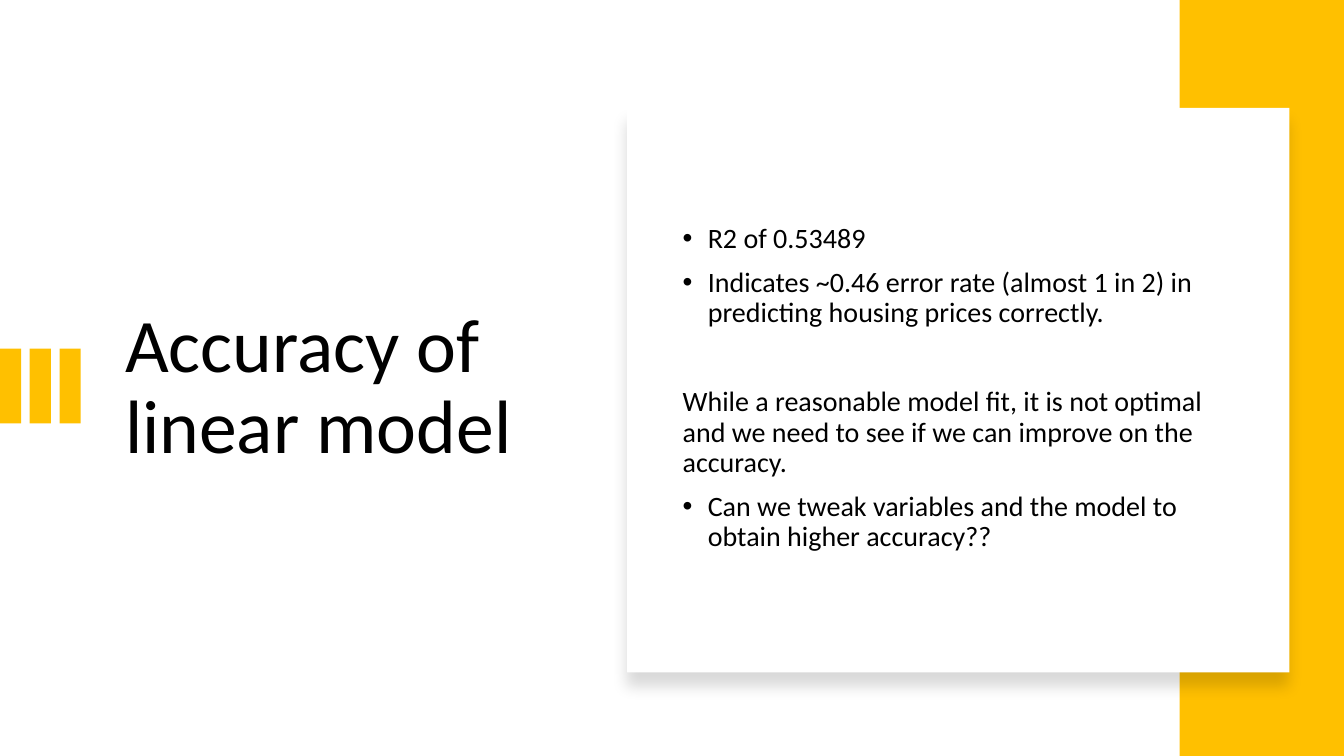
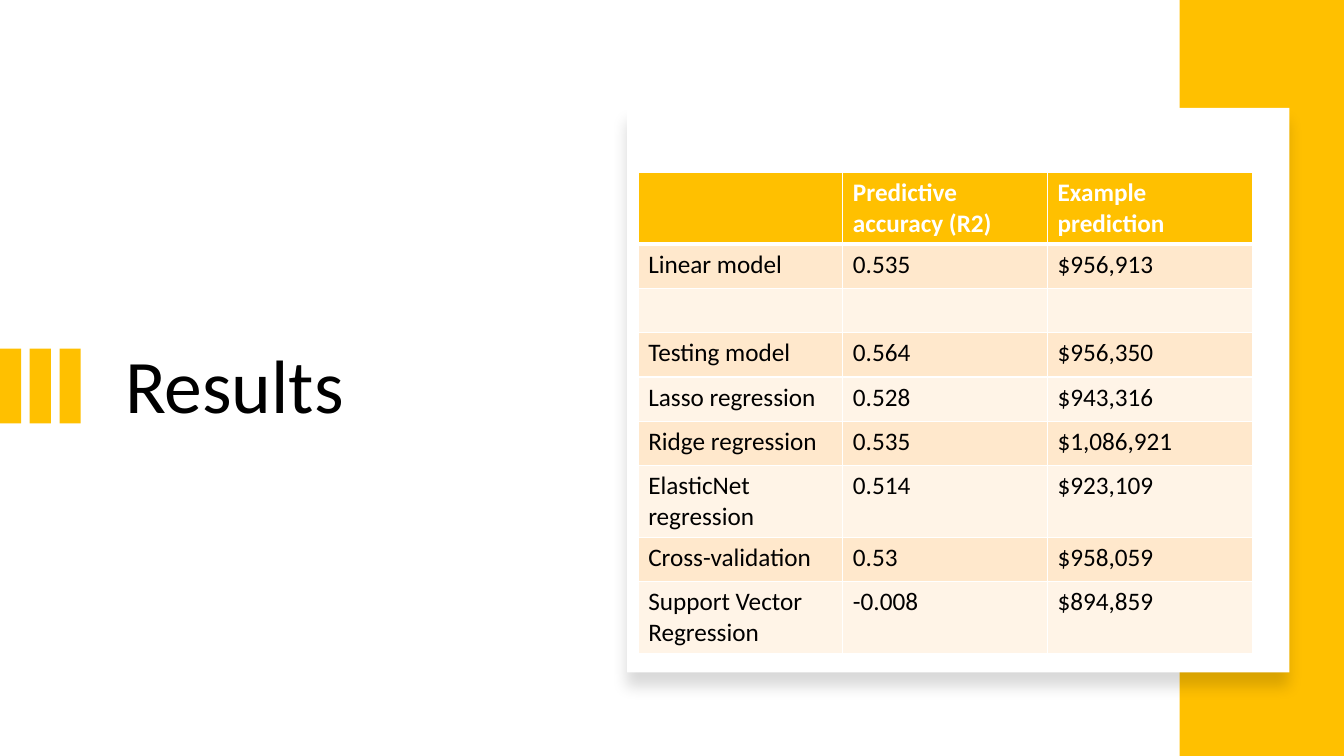
from lxml.etree import SubElement
from pptx import Presentation
from pptx.dml.color import RGBColor
from pptx.enum.shapes import MSO_SHAPE
from pptx.enum.text import MSO_ANCHOR, MSO_AUTO_SIZE, PP_ALIGN
from pptx.oxml.ns import qn
from pptx.util import Inches, Pt

COLORS = {
    "accent": "FFC000",
    "band_dark": "FFE8CC",
    "band_light": "FFF4E7",
    "text": "000000",
    "white": "FFFFFF",
}
FONT = "Calibri"
LAYOUT_BODY, LAYOUT_TITLE = 1, 5

# Boxes are left, top, width, height in inches.
TITLE_BOX = (1.14, 1.46, 4.26, 4.79)
BARS_BOX = (0, 3.46, 0.8, 0.74)
BAND_BOX = (11.7, 0, 1.63, 7.5)
CARD_BOX = (6.22, 1.07, 6.57, 5.6)
BODY_BOX = (6.67, 1.46, 5.75, 4.79)
TABLE_BOX = (6.33, 1.71, 6.09, 3.96)

# Text, bulleted, space before in points.
ACCURACY_POINTS = [
    ("R2 of 0.53489", True, 10),
    ("Indicates ~0.46 error rate (almost 1 in 2) in predicting housing prices correctly.", True, 10),
    ("While a reasonable model fit, it is not optimal and we need to see if we can "
     "improve on the accuracy.", False, 42),
    ("Can we tweak variables and the model to obtain higher accuracy??", True, 10),
]
RESULTS = [
    ("", "Predictive accuracy (R2)", "Example prediction"),
    ("Linear model", "0.535", "$956,913"),
    ("", "", ""),
    ("Testing model", "0.564", "$956,350"),
    ("Lasso regression", "0.528", "$943,316"),
    ("Ridge regression", "0.535", "$1,086,921"),
    ("ElasticNet regression", "0.514", "$923,109"),
    ("Cross-validation", "0.53", "$958,059"),
    ("Support Vector Regression", "-0.008", "$894,859"),
]


def rgb(name):
    return RGBColor.from_string(COLORS[name])


def write(p, text, size, color="text", bold=False, spacing=None, before=0):
    p.alignment = PP_ALIGN.LEFT
    p.line_spacing = spacing
    p.space_before = Pt(before)
    if text:
        r = p.add_run()
        r.text = text
        r.font.name = FONT
        r.font.size = Pt(size)
        r.font.bold = bold
        r.font.color.rgb = rgb(color)


def set_bullet(p, bulleted):
    pPr = p._p.get_or_add_pPr()
    indent = Inches(0.25) if bulleted else 0
    pPr.set("marL", str(indent))
    pPr.set("indent", str(-indent))
    if bulleted:
        SubElement(pPr, qn("a:buFont"), typeface="Arial")
        SubElement(pPr, qn("a:buChar"), char="•")
    else:
        SubElement(pPr, qn("a:buNone"))


def place(shape, box):
    shape.left, shape.top, shape.width, shape.height = map(Inches, box)


def frame(placeholder, box):
    """Moves a placeholder to the box and returns its text frame."""
    place(placeholder, box)
    tf = placeholder.text_frame
    tf.word_wrap = True
    tf.auto_size = MSO_AUTO_SIZE.NONE
    tf.vertical_anchor = MSO_ANCHOR.MIDDLE
    return tf


def add_rect(shapes, box, color):
    sp = shapes.add_shape(MSO_SHAPE.RECTANGLE, *map(Inches, box))
    sp.shadow.inherit = False
    sp.fill.solid()
    sp.fill.fore_color.rgb = rgb(color)
    sp.line.fill.background()
    return sp


def add_bars(s, box, count=3, width=0.21):
    left, top, total, height = box
    step = (total - width) / (count - 1)
    group = s.shapes.add_group_shape()
    for i in range(count):
        add_rect(group.shapes, (left + i * step, top, width, height), "accent")


def add_card(s, box):
    card = add_rect(s.shapes, box, "white")
    effects = card.element.spPr.find(qn("a:effectLst"))
    shadow = SubElement(effects, qn("a:outerShdw"), blurRad=str(Pt(11)),
                        dist=str(Pt(10)), dir="5400000", algn="t", rotWithShape="0")
    color = SubElement(shadow, qn("a:srgbClr"), val=COLORS["text"])
    SubElement(color, qn("a:alpha"), val="15000")


def add_base_slide(prs, layout, title):
    s = prs.slides.add_slide(prs.slide_layouts[layout])
    tf = frame(s.shapes.title, TITLE_BOX)
    write(tf.paragraphs[0], title, 54, spacing=0.9)
    add_bars(s, BARS_BOX)
    add_rect(s.shapes, BAND_BOX, "accent")
    add_card(s, CARD_BOX)
    return s


def fill_body(s, box, points):
    body = s.placeholders[1]
    s.shapes.element.append(body.element)  # in front of the card
    tf = frame(body, box)
    for i, (text, bulleted, before) in enumerate(points):
        p = tf.add_paragraph() if i else tf.paragraphs[0]
        write(p, text, 20, spacing=0.9, before=before)
        set_bullet(p, bulleted)


def set_borders(cell, **widths):
    tcPr = cell._tc.get_or_add_tcPr()
    for side, width in widths.items():
        ln = SubElement(tcPr, qn(f"a:ln{side}"), w=str(Pt(width)))
        fill = SubElement(ln, qn("a:solidFill"))
        SubElement(fill, qn("a:srgbClr"), val=COLORS["white"])


def add_results_table(s, box, rows):
    table = s.shapes.add_table(len(rows), len(rows[0]), *map(Inches, box)).table
    for i, row in enumerate(rows):
        header = i == 0
        band = "accent" if header else ("band_light", "band_dark")[i % 2]
        for j, text in enumerate(row):
            cell = table.cell(i, j)
            set_borders(cell, L=1, R=1, T=3 if i == 1 else 1, B=3 if header else 1)
            cell.fill.solid()
            cell.fill.fore_color.rgb = rgb(band)
            write(cell.text_frame.paragraphs[0], text, 18,
                  color="white" if header else "text", bold=header)


def main():
    prs = Presentation()
    prs.slide_width, prs.slide_height = Inches(13.33), Inches(7.5)
    s = add_base_slide(prs, LAYOUT_BODY, "Accuracy of linear model")
    fill_body(s, BODY_BOX, ACCURACY_POINTS)
    s = add_base_slide(prs, LAYOUT_TITLE, "Results")
    add_results_table(s, TABLE_BOX, RESULTS)
    prs.save("out.pptx")


if __name__ == "__main__":
    main()
